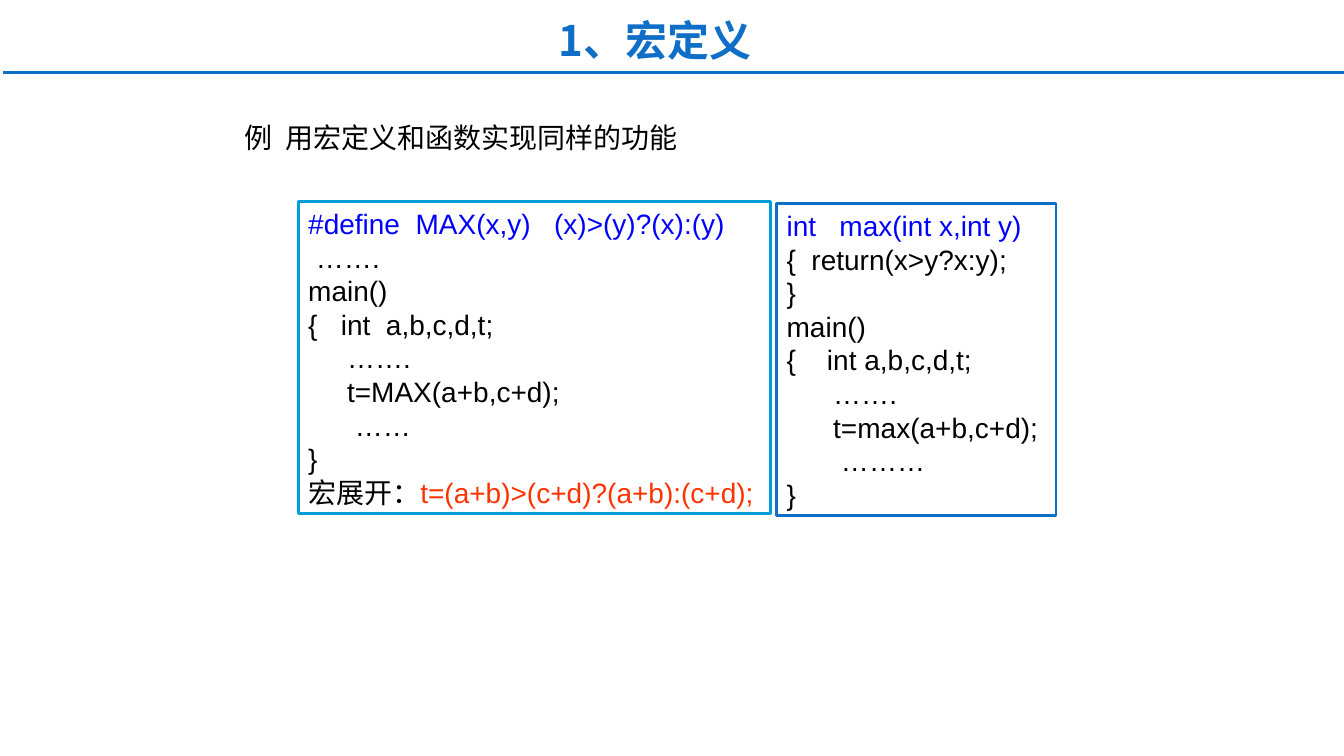
"""Build a slide comparing a macro with a function."""
import pptx
import pptx.util
import pptx.dml.color
import pptx.enum.shapes
import pptx.enum.text
import pptx.oxml
import pptx.oxml.ns
import lxml.etree
from dataclasses import dataclass

Cm = pptx.util.Cm
qn = pptx.oxml.ns.qn
enum = pptx.enum.text

TITLE = "1、宏定义"
LEAD = "例\t用宏定义和函数实现同样的功能"
MACRO = [
    "#define  MAX(x,y)   (x)>(y)?(x):(y)",
    " …….",
    "main()",
    "{   int  a,b,c,d,t;",
    "     …….",
    "     t=MAX(a+b,c+d);",
    "      ……",
    "}",
]
EXPAND = ("宏展开：", "t=(a+b)>(c+d)?(a+b):(c+d);")
FUNC = [
    "int   max(int x,int y)",
    "{  return(x>y?x:y);",
    "}",
    "main()",
    "{    int a,b,c,d,t;",
    "      …….",
    "      t=max(a+b,c+d);",
    "       ………",
    "}",
]


@dataclass(frozen=True)
class Theme:
    blue: str = "0F6FC6"
    cyan: str = "009DD9"
    head: str = "0000FF"
    ink: str = "000000"
    red: str = "FF3300"
    code: str = "Arial"
    han: str = "Noto Sans CJK SC"
    big: int = 30
    body: int = 20


theme = Theme()


def rgb(code):
    return pptx.dml.color.RGBColor.from_string(code)


def style(para, face, size, color, bold=False):
    font = para.font
    font.name, font.size, font.bold = face, pptx.util.Pt(size), bold
    font.color.rgb = rgb(color)
    props = para._p.find(".//" + qn("a:defRPr"))
    props.find(qn("a:latin")).addnext(
        props.makeelement(qn("a:ea"), {"typeface": theme.han}))


def add_text(slide, place, text, size, color, bold=False, tab=None):
    frame = slide.shapes.add_textbox(*map(Cm, place)).text_frame
    frame.word_wrap = True
    para = frame.paragraphs[0]
    para.text = text
    if tab:
        stops = lxml.etree.SubElement(
            para._p.get_or_add_pPr(), qn("a:tabLst"))
        lxml.etree.SubElement(
            stops, qn("a:tab"), {"pos": str(Cm(tab)), "algn": "l"})
    style(para, theme.han, size, color, bold)
    return frame, para


def add_code(slide, place, lines, edge):
    box = slide.shapes.add_shape(
        pptx.enum.shapes.MSO_SHAPE.RECTANGLE, *map(Cm, place))
    box.shadow.inherit = False
    box.fill.background()
    box.line.color.rgb = rgb(edge)
    box.line.width = pptx.util.Pt(2)
    frame = box.text_frame
    frame.word_wrap = False
    frame.auto_size = enum.MSO_AUTO_SIZE.SHAPE_TO_FIT_TEXT
    frame.vertical_anchor = enum.MSO_ANCHOR.MIDDLE
    for row, line in enumerate(lines):
        para = frame.add_paragraph() if row else frame.paragraphs[0]
        para.alignment = enum.PP_ALIGN.LEFT
        style(para, theme.code, theme.body, theme.ink if row else theme.head)
        parts = (line,) if isinstance(line, str) else line
        for part in parts:
            run = para.add_run()
            run.text = part
        if len(parts) > 1:
            run.font.color.rgb = rgb(theme.red)


def add_rule(slide, left, right, top):
    rule = slide.shapes.add_connector(
        pptx.enum.shapes.MSO_CONNECTOR.STRAIGHT,
        Cm(left), Cm(top), Cm(right), Cm(top))
    rule.line.color.rgb = rgb(theme.blue)
    rule.line.width = pptx.util.Pt(2.25)
    lxml.etree.SubElement(rule._element.spPr, qn("a:effectLst"))


def main():
    deck = pptx.Presentation()
    deck.slide_width, deck.slide_height = Cm(33.88), Cm(19.05)
    slide = deck.slides.add_slide(deck.slide_layouts[6])
    add_rule(slide, 0.08, 33.88, 1.82)
    add_code(slide, (7.52, 5.08, 11.91, 7.87), MACRO + [EXPAND], theme.cyan)
    add_code(slide, (19.58, 5.13, 7.04, 7.87), FUNC, theme.blue)
    frame, para = add_text(
        slide, (5.92, 2.44, 21.59, 1.57), LEAD, theme.body, theme.ink, tab=1.02)
    frame.vertical_anchor = enum.MSO_ANCHOR.BOTTOM
    para.line_spacing = 0.9
    frame, para = add_text(
        slide, (1.98, 0.25, 29.08, 1.52), TITLE, theme.big, theme.blue, True)
    para.alignment = enum.PP_ALIGN.CENTER
    deck.save("out.pptx")


if __name__ == "__main__":
    main()
